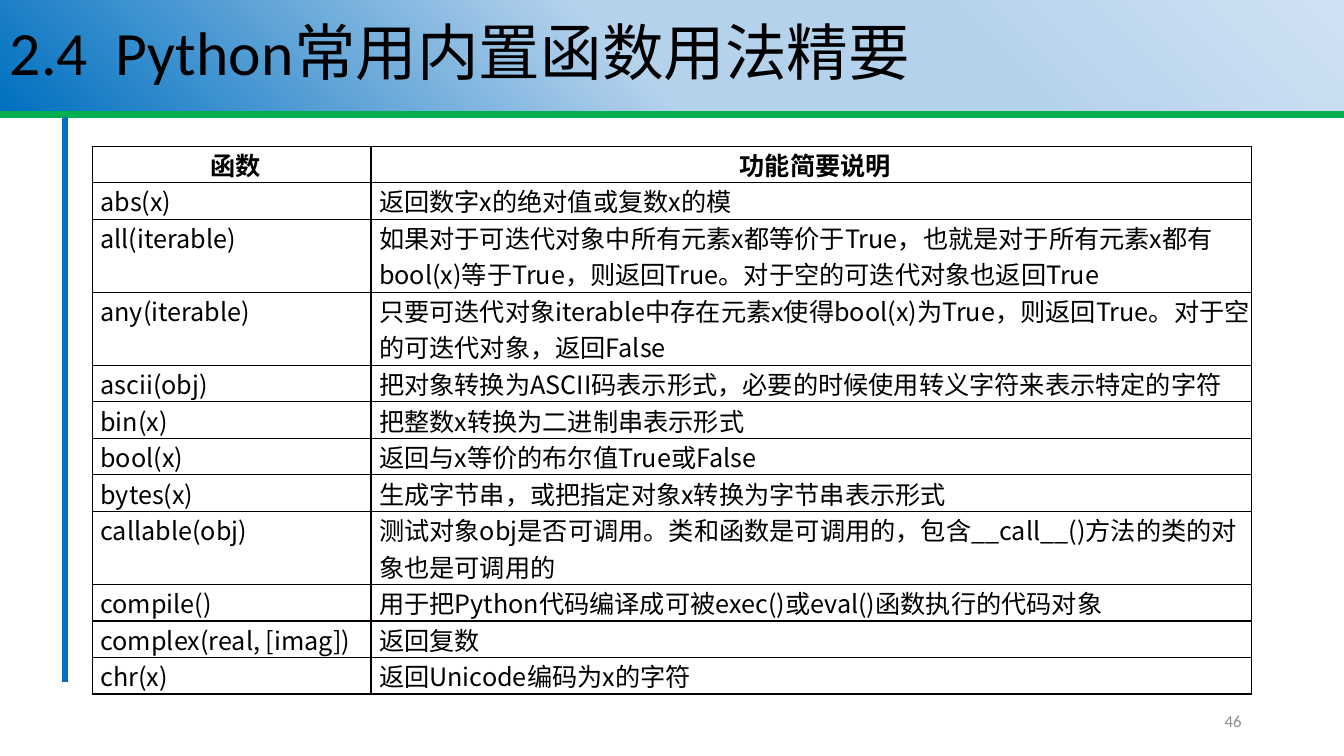
"""Build the slide that lists common Python built-in functions."""
from lxml import etree
from pptx import Presentation
from pptx.dml.color import RGBColor
from pptx.enum.shapes import MSO_CONNECTOR, MSO_SHAPE
from pptx.enum.text import MSO_ANCHOR, PP_ALIGN
from pptx.oxml.ns import qn
from pptx.util import Pt

STRAIGHT = MSO_CONNECTOR.STRAIGHT
RECTANGLE = MSO_SHAPE.RECTANGLE
MIDDLE = MSO_ANCHOR.MIDDLE
LEFT, CENTER, RIGHT = PP_ALIGN.LEFT, PP_ALIGN.CENTER, PP_ALIGN.RIGHT

BLACK = RGBColor(0x00, 0x00, 0x00)
WHITE = RGBColor(0xFF, 0xFF, 0xFF)
GREEN = RGBColor(0x00, 0xB0, 0x50)
BLUE = RGBColor(0x00, 0x70, 0xC0)
SKY = RGBColor(0xB5, 0xD2, 0xEC)
PALE = RGBColor(0xCE, 0xE1, 0xF2)
GRAY = RGBColor(0x8C, 0x8C, 0x8C)
BORDER = RGBColor(0x08, 0x00, 0x00)

WIDTH, HEIGHT = 960, 540
LINE_HEIGHT = 26.1
BANNER_STOPS = [(1, PALE), (29, SKY), (53, SKY), (100, BLUE)]
COLUMNS = [199, 629]
FUNCTIONS = [
    ("函数", "功能简要说明", 1),
    ("abs(x)", "返回数字x的绝对值或复数x的模", 1),
    ("all(iterable)", "如果对于可迭代对象中所有元素x都等价于True，也就是对于所有元素x都"
     "有bool(x)等于True，则返回True。对于空的可迭代对象也返回True", 2),
    ("any(iterable)", "只要可迭代对象iterable中存在元素x使得bool(x)为True，则返回True。"
     "对于空的可迭代对象，返回False", 2),
    ("ascii(obj)", "把对象转换为ASCII码表示形式，必要的时候使用转义字符来表示特定的字符", 1),
    ("bin(x)", "把整数x转换为二进制串表示形式", 1),
    ("bool(x)", "返回与x等价的布尔值True或False", 1),
    ("bytes(x)", "生成字节串，或把指定对象x转换为字节串表示形式", 1),
    ("callable(obj)", "测试对象obj是否可调用。类和函数是可调用的，包含__call__()方法的类的"
     "对象也是可调用的", 2),
    ("compile()", "用于把Python代码编译成可被exec()或eval()函数执行的代码对象", 1),
    ("complex(real, [imag])", "返回复数", 1),
    ("chr(x)", "返回Unicode编码为x的字符", 1),
]


class SlideBuilder:
    """Hold the fonts and the current slide, and draw each kind of element."""

    latin_font = "Calibri"
    chinese_font = "Noto Sans CJK SC"

    def __init__(self, page):
        self.page = page

    def put_text(self, frame, text, size, color=BLACK, font=None, bold=False, align=LEFT):
        """Put one formatted paragraph into a text frame."""
        para = frame.paragraphs[0]
        para.alignment = align
        span = para.add_run()
        span.text = text
        formats = {"size": Pt(size), "name": font or self.latin_font, "bold": bold}
        for name, value in formats.items():
            setattr(span.font, name, value)
        span.font.color.rgb = color
        east_asian = etree.SubElement(span.font._element, qn("a:ea"))
        east_asian.set("typeface", self.chinese_font)
        return para

    def rule(self, start, end, color, weight):
        """Draw a straight line."""
        line = self.page.shapes.add_connector(STRAIGHT, *map(Pt, start + end))
        line.line.color.rgb = color
        line.line.width = Pt(weight)
        etree.SubElement(line._element.spPr, qn("a:effectLst"))

    def banner(self, text, place, stops, angle):
        """Draw the title on a gradient band."""
        box = self.page.shapes.add_shape(RECTANGLE, *map(Pt, place))
        box.shadow.inherit = False
        box.line.fill.background()
        box.fill.gradient()
        box.fill.gradient_angle = 360 - angle
        stop_list = box._element.spPr.find(".//" + qn("a:gsLst"))
        stop_list.clear()
        for position, color in stops:
            stop = etree.SubElement(stop_list, qn("a:gs"), pos=str(position * 1000))
            etree.SubElement(stop, qn("a:srgbClr"), val=str(color))
        box.text_frame.word_wrap = True
        box.text_frame.vertical_anchor = MIDDLE
        self.put_text(box.text_frame, text, 44).line_spacing = 0.9

    def label(self, text, place, size, color, align):
        """Draw a text box."""
        box = self.page.shapes.add_textbox(*map(Pt, place))
        box.text_frame.word_wrap = True
        box.text_frame.vertical_anchor = MIDDLE
        self.put_text(box.text_frame, text, size, color, align=align)

    def border(self, cell, side, color, weight):
        """Draw one edge of a table cell."""
        properties = cell._tc.get_or_add_tcPr()
        edge = etree.SubElement(properties, qn("a:ln" + side), w=str(Pt(weight)))
        fill = etree.SubElement(edge, qn("a:solidFill"))
        etree.SubElement(fill, qn("a:srgbClr"), val=str(color))

    def table(self, rows, columns, left, top):
        """Draw the function table, with row heights set by line counts."""
        height = LINE_HEIGHT * sum(lines for *_, lines in rows)
        place = map(Pt, (left, top, sum(columns), height))
        grid = self.page.shapes.add_table(len(rows), len(columns), *place).table
        grid.horz_banding = False
        for column, width in zip(grid.columns, columns):
            column.width = Pt(width)
        margins = {"margin_left": 5.76, "margin_right": 0, "margin_top": 0, "margin_bottom": 0}
        for index, (*texts, lines) in enumerate(rows):
            grid.rows[index].height = Pt(LINE_HEIGHT * lines)
            header = index == 0
            for number, text in enumerate(texts):
                cell = grid.cell(index, number)
                for name, value in margins.items():
                    setattr(cell, name, Pt(value))
                for side in "LRTB":
                    outer = side == "R" and number == len(columns) - 1
                    self.border(cell, side, *((BLACK, 0.75) if outer else (BORDER, 1)))
                cell.fill.solid()
                cell.fill.fore_color.rgb = WHITE
                self.put_text(cell.text_frame, text, 18, font=self.chinese_font,
                              bold=header, align=CENTER if header else LEFT)


def main():
    """Build and save the deck."""
    deck = Presentation()
    deck.slide_width, deck.slide_height = Pt(WIDTH), Pt(HEIGHT)
    builder = SlideBuilder(deck.slides.add_slide(deck.slide_layouts[6]))
    builder.rule((0, 82), (WIDTH, 82), GREEN, 5.25)
    builder.rule((46.5, 83.5), (46.5, 487), BLUE, 3.75)
    builder.banner("2.4  Python常用内置函数用法精要", (0, 0, WIDTH, 79), BANNER_STOPS, 135)
    builder.label("46", (678, 500.5, 216, 28.75), 12, GRAY, RIGHT)
    builder.table(FUNCTIONS, COLUMNS, 66, 104.4)
    deck.save("out.pptx")


if __name__ == "__main__":
    main()
